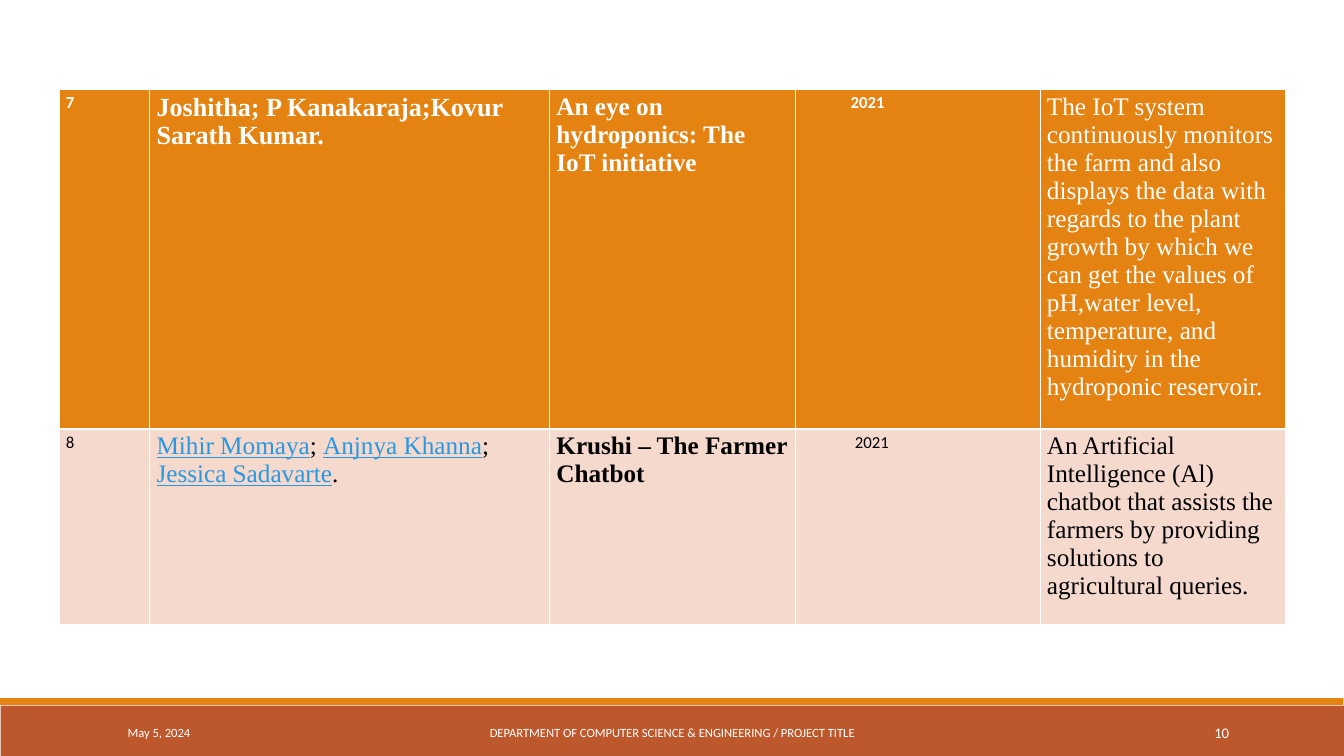
from dataclasses import dataclass

from lxml import etree
from pptx import Presentation
from pptx.dml.color import RGBColor
from pptx.enum.shapes import MSO_SHAPE
from pptx.enum.text import MSO_ANCHOR, PP_ALIGN
from pptx.oxml.ns import qn
from pptx.util import Inches, Pt

RECT = MSO_SHAPE.RECTANGLE
MIDDLE = MSO_ANCHOR.MIDDLE
LEFT, CENTER, RIGHT = PP_ALIGN.LEFT, PP_ALIGN.CENTER, PP_ALIGN.RIGHT
SANS, SERIF = "Calibri", "Times New Roman"
COLORS = {
    "white": "FFFFFF", "black": "000000", "orange": "E48312",
    "rust": "BD582C", "blush": "F5D9CC", "link": "2998E3",
}


@dataclass
class Bar:
    left: float
    top: float
    height: float
    color: str


@dataclass
class Note:
    left: float
    width: float
    text: str
    size: float
    align: PP_ALIGN


@dataclass
class Entry:
    text: str
    size: float = 27
    face: str = SERIF
    bold: bool = False
    indent: float = 0
    names: tuple = ()  # parts of the text shown as links


@dataclass
class Row:
    height: float
    fill: str
    ink: str
    rules: dict  # border widths by side
    cells: list


BARS = [Bar(0.01, 10.5, 0.75, "rust"), Bar(0, 10.39, 0.1, "orange")]
NOTES = [
    Note(1.8, 4.06, "May 5, 2024", 13.5, LEFT),
    Note(6.05, 7.91, "DEPARTMENT OF COMPUTER SCIENCE & ENGINEERING / PROJECT TITLE", 13.5, CENTER),
    Note(16.24, 2.15, "10", 15.8, RIGHT),
]
COLS = [1.35, 5.95, 3.65, 3.65, 3.65]
ROWS = [
    Row(5.05, "orange", "white", {"L": 1, "R": 1, "T": 1, "B": 3}, [
        Entry("7", 18, SANS, True),
        Entry("Joshitha; P Kanakaraja;Kovur Sarath Kumar.", 28, bold=True),
        Entry("An eye on hydroponics: The IoT initiative", bold=True),
        Entry("2021", 18, SANS, True, 0.73),
        Entry("The IoT system continuously monitors the farm and also displays "
              "the data with regards to the plant growth by which we can get the "
              "values of pH,water level, temperature, and humidity in the "
              "hydroponic reservoir."),
    ]),
    Row(2.9, "blush", "black", {"L": 1, "R": 1, "T": 3, "B": 1}, [
        Entry("8", 18, SANS),
        Entry("Mihir Momaya; Anjnya Khanna; Jessica Sadavarte.",
              names=("Mihir Momaya", "Anjnya Khanna", "Jessica Sadavarte")),
        Entry("Krushi – The Farmer Chatbot", bold=True),
        Entry("2021", 18, SANS, indent=0.79),
        Entry("An Artificial Intelligence (Al) chatbot that assists the farmers "
              "by providing solutions to agricultural queries."),
    ]),
]


def rgb(name: str) -> RGBColor:
    return RGBColor.from_string(COLORS[name])


def set_font(font, face: str, size: float, color: str, bold: bool = False) -> None:
    font.name, font.size, font.bold = face, Pt(size), bold
    font.color.rgb = rgb(color)


def draw_bar(slide, bar: Bar) -> None:
    shape = slide.shapes.add_shape(
        RECT, Inches(bar.left), Inches(bar.top), Inches(19.99), Inches(bar.height))
    shape.shadow.inherit = False
    shape.fill.solid()
    shape.fill.fore_color.rgb = rgb(bar.color)
    shape.line.fill.background()


def draw_note(slide, note: Note) -> None:
    box = slide.shapes.add_textbox(
        Inches(note.left), Inches(10.6), Inches(note.width), Inches(0.6))
    frame = box.text_frame
    frame.word_wrap = True
    frame.vertical_anchor = MIDDLE
    para = frame.paragraphs[0]
    para.text, para.alignment = note.text, note.align
    set_font(para.font, SANS, note.size, "white")


def draw_rules(cell, rules: dict) -> None:
    props = cell._tc.get_or_add_tcPr()
    for side, width in rules.items():
        line = etree.SubElement(props, qn(f"a:ln{side}"), w=str(Pt(width)))
        fill = etree.SubElement(line, qn("a:solidFill"))
        etree.SubElement(fill, qn("a:srgbClr"), val=COLORS["white"])


def write_names(para, entry: Entry) -> None:
    rest = entry.text
    for name in entry.names:
        gap, rest = rest.split(name, 1)
        if gap:
            para.add_run().text = gap
        run = para.add_run()
        run.text = name
        run.font.underline = True
        run.font.color.rgb = rgb("link")
    para.add_run().text = rest


def fill_cell(cell, entry: Entry, row: Row) -> None:
    draw_rules(cell, row.rules)
    cell.fill.solid()
    cell.fill.fore_color.rgb = rgb(row.fill)
    cell.margin_left = Inches(0.1 + entry.indent)
    para = cell.text_frame.paragraphs[0]
    if entry.names:
        write_names(para, entry)
    else:
        para.text = entry.text
    set_font(para.font, entry.face, entry.size, row.ink, entry.bold)


def draw_table(slide) -> None:
    height = sum(row.height for row in ROWS)
    table = slide.shapes.add_table(
        len(ROWS), len(COLS), Inches(0.88), Inches(1.33),
        Inches(sum(COLS)), Inches(height)).table
    for col, width in zip(table.columns, COLS):
        col.width = Inches(width)
    for line, row in zip(table.rows, ROWS):
        line.height = Inches(row.height)
        for cell, entry in zip(line.cells, row.cells):
            fill_cell(cell, entry, row)


def main() -> None:
    deck = Presentation()
    deck.slide_width, deck.slide_height = Inches(20), Inches(11.25)
    slide = deck.slides.add_slide(deck.slide_layouts[6])
    # Footer band
    for bar in BARS:
        draw_bar(slide, bar)
    for note in NOTES:
        draw_note(slide, note)
    # Literature survey
    draw_table(slide)
    deck.save("out.pptx")


if __name__ == "__main__":
    main()
